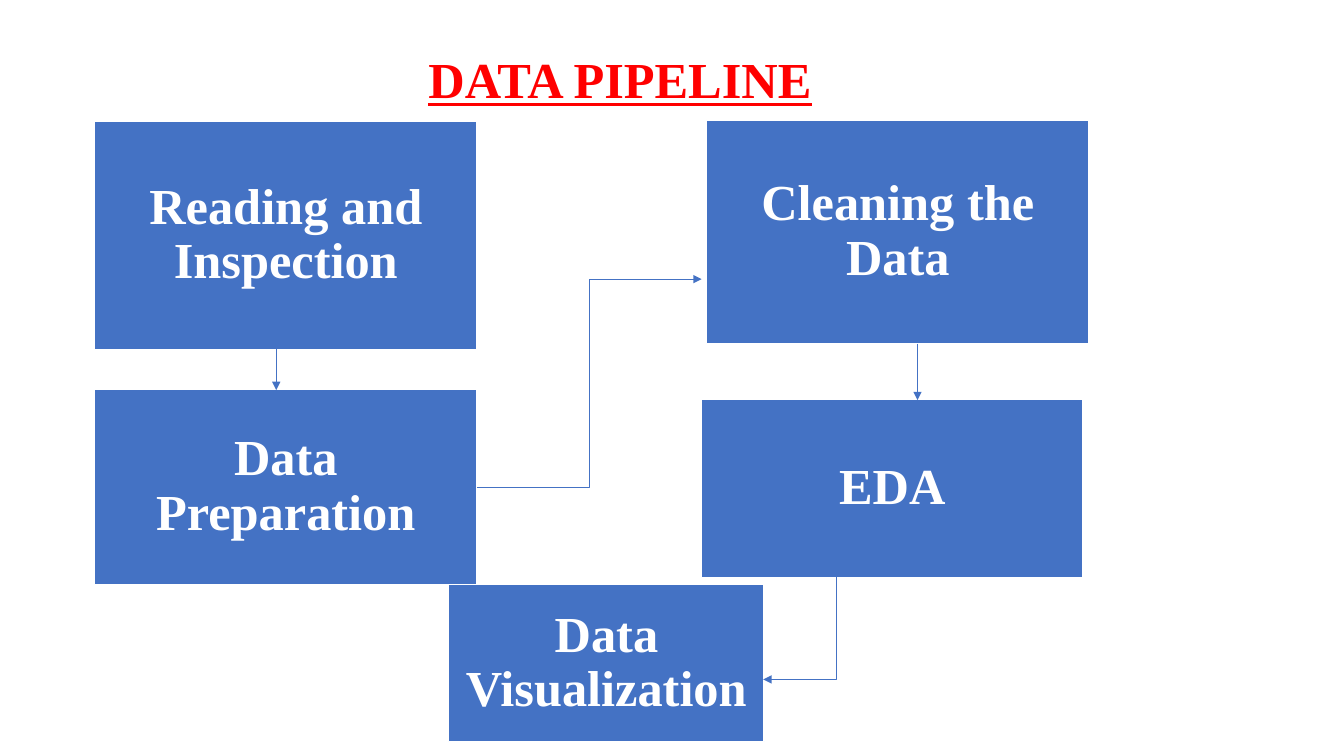
import dataclasses

import pptx
import pptx.dml.color
import pptx.enum.shapes
import pptx.enum.text
import pptx.oxml
import pptx.oxml.ns
import pptx.util

Inches = pptx.util.Inches
Pt = pptx.util.Pt
Connector = pptx.enum.shapes.MSO_CONNECTOR

COLORS = {"title": "FF0000", "stage": "4472C4", "white": "FFFFFF"}
FONT = "Times New Roman"


@dataclasses.dataclass(frozen=True)
class Stage:
    label: str
    left: float
    top: float
    width: float
    height: float


@dataclasses.dataclass(frozen=True)
class Flow:
    start: tuple[float, float]
    end: tuple[float, float]
    kind: Connector = Connector.STRAIGHT


STAGES = [
    Stage("Reading and Inspection", 0.94, 1.2, 3.79, 2.27),
    Stage("Cleaning the Data", 7.01, 1.19, 3.79, 2.22),
    Stage("Data Preparation", 0.94, 3.86, 3.79, 1.94),
    Stage("EDA", 6.96, 3.96, 3.78, 1.77),
    Stage("Data Visualization", 4.45, 5.8, 3.13, 1.56),
]

FLOWS = [
    Flow((4.73, 4.84), (6.96, 2.77), Connector.ELBOW),
    Flow((9.02, 5.49), (7.57, 6.74), Connector.ELBOW),
    Flow((2.74, 3.41), (2.74, 3.87)),
    Flow((9.1, 3.41), (9.1, 3.97)),
]


def rgb(name: str) -> pptx.dml.color.RGBColor:
    return pptx.dml.color.RGBColor.from_string(COLORS[name])


def write(frame, text: str, *, color: str, size: float = 36,
          underline: bool = False, spacing: float = 1.0, inset: float = 0.05) -> None:
    """Fill a text frame with one centred bold paragraph."""
    frame.word_wrap = True
    frame.margin_left = frame.margin_right = Inches(inset)
    frame.margin_top = frame.margin_bottom = Inches(inset)
    paragraph = frame.paragraphs[0]
    paragraph.alignment = pptx.enum.text.PP_ALIGN.CENTER
    paragraph.line_spacing = spacing
    run = paragraph.add_run()
    run.text = text
    run.font.name = FONT
    run.font.size = Pt(size)
    run.font.bold = True
    run.font.underline = underline
    run.font.color.rgb = rgb(color)


def draw_stage(slide, stage: Stage) -> None:
    box = slide.shapes.add_shape(
        pptx.enum.shapes.MSO_SHAPE.RECTANGLE,
        Inches(stage.left), Inches(stage.top), Inches(stage.width), Inches(stage.height))
    box.shadow.inherit = False
    box.fill.solid()
    box.fill.fore_color.rgb = rgb("stage")
    box.line.color.rgb = rgb("white")
    box.line.width = Pt(1)
    box.text_frame.vertical_anchor = pptx.enum.text.MSO_ANCHOR.MIDDLE
    write(box.text_frame, stage.label, color="white", spacing=0.9, inset=0.15)


def draw_flow(slide, flow: Flow) -> None:
    arrow = slide.shapes.add_connector(
        flow.kind, *(Inches(value) for value in flow.start + flow.end))
    arrow.line.color.rgb = rgb("stage")
    arrow.line.width = Pt(0.5)
    head = pptx.oxml.parse_xml(
        f'<a:tailEnd {pptx.oxml.ns.nsdecls("a")} type="triangle"/>')
    arrow.line._get_or_add_ln().append(head)
    arrow._element.spPr.append(
        pptx.oxml.parse_xml(f'<a:effectLst {pptx.oxml.ns.nsdecls("a")}/>'))


def main() -> None:
    deck = pptx.Presentation()
    deck.slide_width = Inches(13.33)
    deck.slide_height = Inches(7.5)
    slide = deck.slides.add_slide(deck.slide_layouts[6])

    title = slide.shapes.add_textbox(Inches(3.9), Inches(0.43), Inches(4.5), Inches(0.7))
    write(title.text_frame, "DATA PIPELINE", color="title", underline=True)
    for stage in STAGES:
        draw_stage(slide, stage)
    for flow in FLOWS:
        draw_flow(slide, flow)

    deck.save("out.pptx")


if __name__ == "__main__":
    main()
